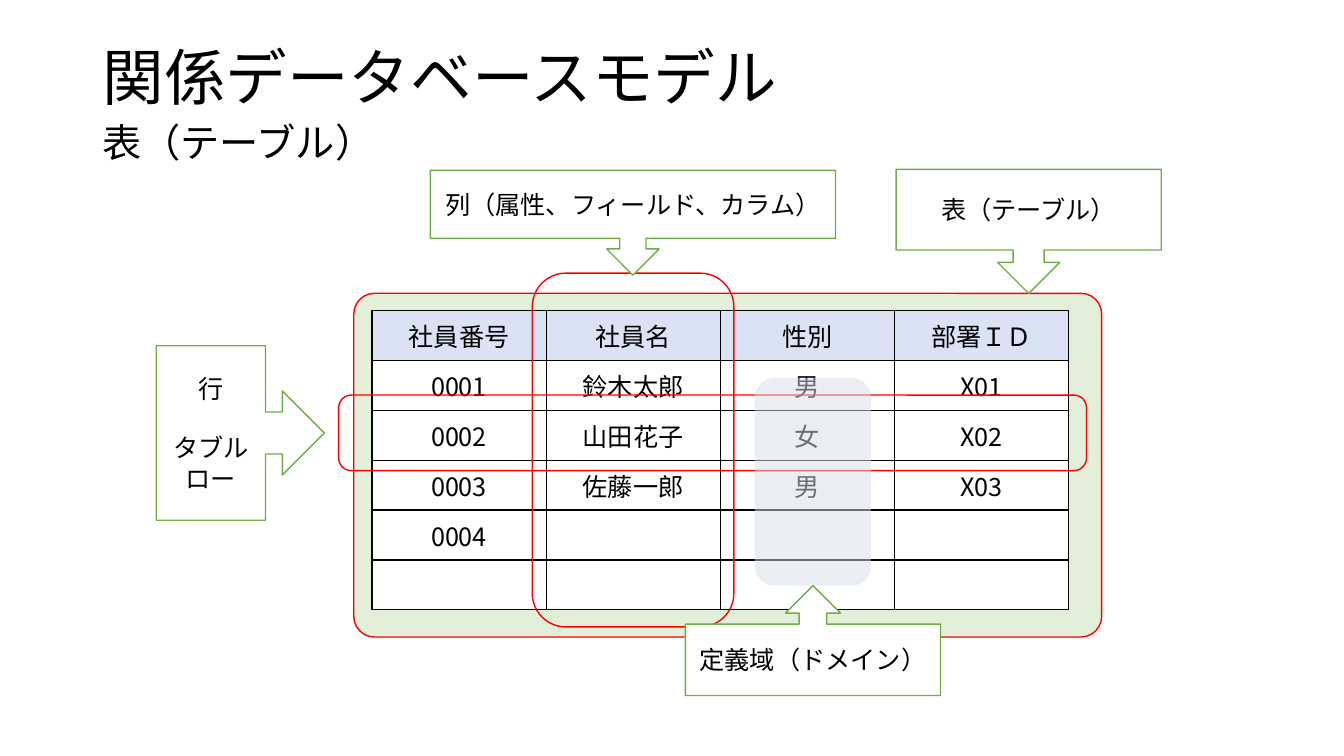
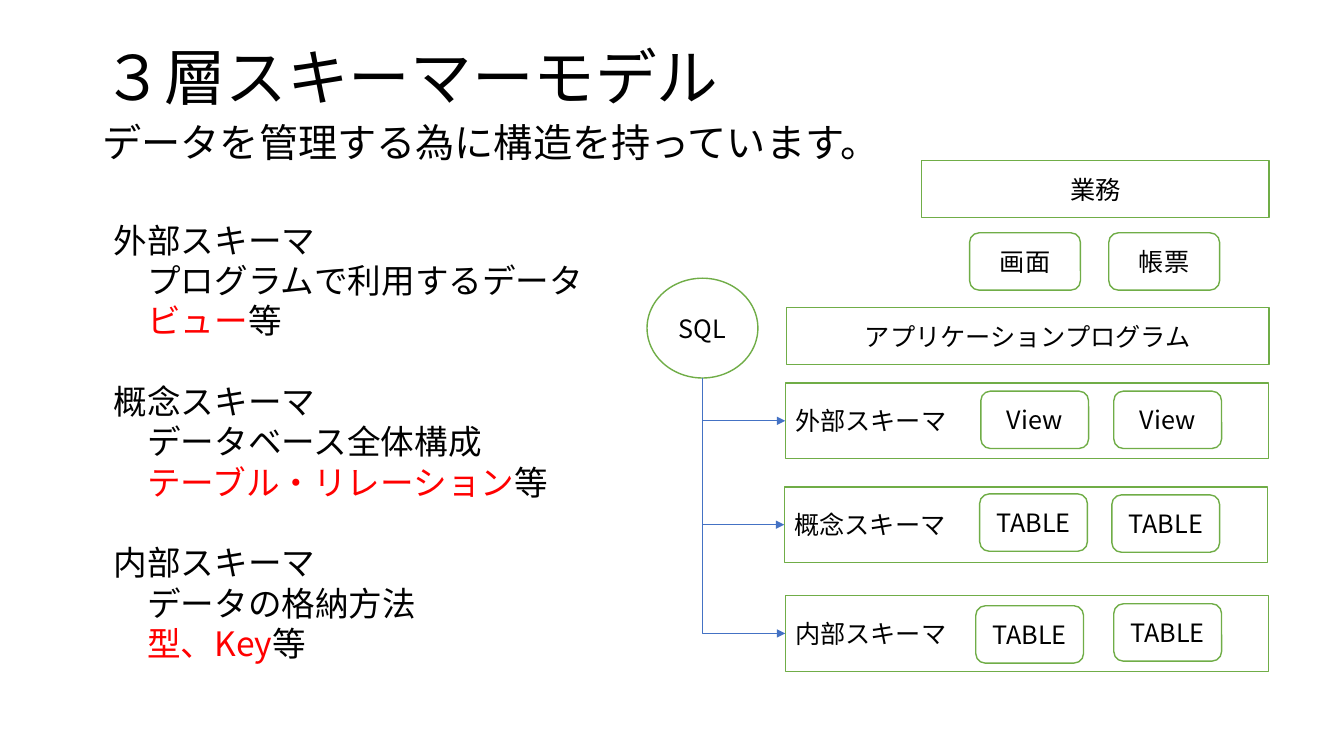
from lxml.etree import SubElement
from pptx import Presentation
from pptx.dml.color import RGBColor
from pptx.enum.shapes import MSO_CONNECTOR, MSO_SHAPE
from pptx.enum.text import MSO_ANCHOR, PP_ALIGN
from pptx.oxml.ns import qn
from pptx.util import Pt

FONT = "Noto Sans CJK JP"
BLACK = RGBColor(0, 0, 0)
WHITE = RGBColor(255, 255, 255)
RED = RGBColor(255, 0, 0)
GREEN = RGBColor(0x70, 0xAD, 0x47)
PALE_GREEN = RGBColor(0xE2, 0xF0, 0xD9)
PALE_BLUE = RGBColor(0xDA, 0xE3, 0xF3)
GREY = RGBColor(0xD6, 0xDC, 0xE5)
BLUE = RGBColor(0x44, 0x72, 0xC4)

EMPLOYEES = [
    ("社員番号", "社員名", "性別", "部署ＩＤ"),
    ("0001", "鈴木太郎", "男", "X01"),
    ("0002", "山田花子", "女", "X02"),
    ("0003", "佐藤一郎", "男", "X03"),
    ("0004", "", "", ""),
    ("", "", "", ""),
]
TABLE_AREA = (252.7, 209.5, 534.2, 245.5)
ROW_AREA = (241.9, 282.2, 534.2, 54)
COLUMN_AREA = (380.2, 195.1, 144, 252.7)
DOMAIN_AREA = (539.3, 270, 82.8, 148.3)
ROW_CALLOUT = (111.6, 247, 120.2, 124.6)
COLUMN_CALLOUT = (307.4, 121.7, 289.4, 74.9)
TABLE_CALLOUT = (640.1, 121, 189.4, 88.6)
DOMAIN_CALLOUT = (489.6, 418.3, 182.2, 78.5)
GRID_LEFT, GRID_TOP, COLUMN_WIDTH, ROW_HEIGHT = 265.7, 221.8, 124.4, 35.64

SCHEMAS = [
    ("外部スキーマ", "プログラムで利用するデータ", "ビュー", "等"),
    ("概念スキーマ", "データベース全体構成", "テーブル・リレーション", "等"),
    ("内部スキーマ", "データの格納方法", "型、Key", "等"),
]
LAYERS = [
    (560.9, 273.6, "View", [(700.6, 279.4), (795.6, 279.4)]),
    (560.2, 347.8, "TABLE", [(699.8, 352.8), (794.2, 353.5)]),
    (560.9, 425.5, "TABLE", [(697, 432.7), (795.6, 431.3)]),
]
LAYER_WIDTH, LAYER_HEIGHT = 345, 54
PART_WIDTH, PART_HEIGHT = 77, 41
SCREENS = [("画面", 692.6), ("帳票", 792)]
SCREEN_TOP, SCREEN_WIDTH = 166.3, 79.2
BUSINESS = (658.1, 114.5, 248.4, PART_HEIGHT)
PROGRAM = (561.6, 219.6, LAYER_WIDTH, PART_HEIGHT)
SQL = (462.2, 198.7, 79.2, 71.3)
SCHEMA_TEXT = (74.2, 153.4, 427.7, 326.9)
LINE_PITCH = 28.8


def points(lengths):
    return [Pt(length) for length in lengths]


def style(para, size, align=None):
    para.font.size = Pt(size)
    para.font.color.rgb = BLACK
    para.font.name = FONT
    defaults = para._p.pPr.find(qn("a:defRPr"))
    SubElement(defaults, qn("a:ea")).set("typeface", FONT)
    if align is not None:
        para.alignment = align


def add_text(page, area, text, size):
    box = page.shapes.add_textbox(*points(area))
    box.text_frame.word_wrap = True
    para = box.text_frame.paragraphs[0]
    para.text = text
    style(para, size)
    para.line_spacing = 0.9
    return box


def add_page(deck, title, subtitle):
    page = deck.slides.add_slide(deck.slide_layouts[6])
    heading = add_text(page, (66.2, 28.8, 828, 56.9), title, 44)
    heading.text_frame.vertical_anchor = MSO_ANCHOR.MIDDLE
    add_text(page, (66.2, 85, 828, 41), subtitle, 28)
    return page


def add_box(page, kind, area, text="", fill=WHITE, line=GREEN, align=PP_ALIGN.CENTER):
    box = page.shapes.add_shape(kind, *points(area))
    box.shadow.inherit = False
    if fill is None:
        box.fill.background()
    else:
        box.fill.solid()
        box.fill.fore_color.rgb = fill
    if line is None:
        box.line.fill.background()
    else:
        box.line.color.rgb = line
        box.line.width = Pt(1)
    if text:
        box.text_frame.text = text
        box.text_frame.vertical_anchor = MSO_ANCHOR.MIDDLE
        for para in box.text_frame.paragraphs:
            style(para, 18, align)
    return box


def add_border(cell):
    properties = cell._tc.get_or_add_tcPr()
    for index, side in enumerate(("a:lnL", "a:lnR", "a:lnT", "a:lnB")):
        border = properties.makeelement(qn(side), {"w": str(Pt(1))})
        fill = SubElement(border, qn("a:solidFill"))
        SubElement(fill, qn("a:srgbClr")).set("val", str(BLACK))
        properties.insert(index, border)


def add_employees(page):
    rows, columns = len(EMPLOYEES), len(EMPLOYEES[0])
    area = (GRID_LEFT, GRID_TOP, COLUMN_WIDTH * columns, ROW_HEIGHT * rows)
    table = page.shapes.add_table(rows, columns, *points(area)).table
    for row, values in enumerate(EMPLOYEES):
        for column, value in enumerate(values):
            cell = table.cell(row, column)
            cell.text = value
            cell.vertical_anchor = MSO_ANCHOR.MIDDLE
            cell.fill.solid()
            cell.fill.fore_color.rgb = WHITE if row else PALE_BLUE
            para = cell.text_frame.paragraphs[0]
            style(para, 18, PP_ALIGN.CENTER)
            para.font.bold = False
            add_border(cell)


def add_bent_arrow(page, start_x, start_y, end_x, end_y):
    across, down = end_x - start_x, end_y - start_y
    left = (start_x + end_x - down) / 2
    top = (start_y + end_y - across) / 2
    corners = (left, top, left + down, top + across)
    arrow = page.shapes.add_connector(MSO_CONNECTOR.ELBOW, *points(corners))
    arrow.line.color.rgb = BLUE
    arrow.line.width = Pt(0.5)
    properties = arrow._element.spPr
    frame = properties.find(qn("a:xfrm"))
    frame.set("rot", "16200000")
    frame.set("flipH", "1")
    properties.find(qn("a:prstGeom")).set("prst", "bentConnector2")
    SubElement(properties.find(qn("a:ln")), qn("a:tailEnd")).set("type", "triangle")
    SubElement(properties, qn("a:effectLst"))


def add_schema_text(page):
    frame = page.shapes.add_textbox(*points(SCHEMA_TEXT)).text_frame
    frame.word_wrap = True
    for index, (name, purpose, example, ending) in enumerate(SCHEMAS):
        lines = [(name,), (purpose,), (example, ending)]
        for level, parts in enumerate(lines):
            first = index == level == 0
            para = frame.paragraphs[0] if first else frame.add_paragraph()
            style(para, 24)
            for part in parts:
                span = para.add_run()
                span.text = part
                if part == example:
                    span.font.color.rgb = RED
            if level:
                para._p.pPr.set("marL", str(Pt(24)))
            elif index:
                para.space_before = Pt(LINE_PITCH)


def build_relational(deck):
    page = add_page(deck, "関係データベースモデル", "表（テーブル）")
    table_area = add_box(page, MSO_SHAPE.ROUNDED_RECTANGLE, TABLE_AREA, fill=PALE_GREEN, line=RED)
    table_area.adjustments[0] = 0.06
    add_employees(page)
    add_box(page, MSO_SHAPE.ROUNDED_RECTANGLE, ROW_AREA, fill=None, line=RED)
    row_callout = add_box(page, MSO_SHAPE.RIGHT_ARROW_CALLOUT, ROW_CALLOUT, "行\nタブル\nロー")
    row_callout.text_frame.paragraphs[1].space_before = Pt(21)
    add_box(page, MSO_SHAPE.ROUNDED_RECTANGLE, COLUMN_AREA, fill=None, line=RED)
    add_box(page, MSO_SHAPE.DOWN_ARROW_CALLOUT, COLUMN_CALLOUT, "列（属性、フィールド、カラム）")
    add_box(page, MSO_SHAPE.DOWN_ARROW_CALLOUT, TABLE_CALLOUT, "表（テーブル）")
    domain = add_box(page, MSO_SHAPE.ROUNDED_RECTANGLE, DOMAIN_AREA, fill=GREY, line=None)
    colour = domain._element.spPr.find(qn("a:solidFill")).find(qn("a:srgbClr"))
    SubElement(colour, qn("a:alpha")).set("val", "50000")
    add_box(page, MSO_SHAPE.UP_ARROW_CALLOUT, DOMAIN_CALLOUT, "定義域（ドメイン）")


def build_schema(deck):
    page = add_page(deck, "３層スキーマーモデル", "データを管理する為に構造を持っています。")
    add_schema_text(page)
    add_box(page, MSO_SHAPE.RECTANGLE, BUSINESS, "業務")
    for name, left in SCREENS:
        area = (left, SCREEN_TOP, SCREEN_WIDTH, PART_HEIGHT)
        add_box(page, MSO_SHAPE.ROUNDED_RECTANGLE, area, name)
    add_box(page, MSO_SHAPE.RECTANGLE, PROGRAM, "アプリケーションプログラム")
    add_box(page, MSO_SHAPE.OVAL, SQL, "SQL")
    sql_left, sql_top, sql_width, sql_height = SQL
    for (name, *_), (left, top, part, places) in zip(SCHEMAS, LAYERS):
        area = (left, top, LAYER_WIDTH, LAYER_HEIGHT)
        add_box(page, MSO_SHAPE.RECTANGLE, area, name, align=PP_ALIGN.LEFT)
        for place in places:
            area = (*place, PART_WIDTH, PART_HEIGHT)
            add_box(page, MSO_SHAPE.ROUNDED_RECTANGLE, area, part)
        add_bent_arrow(page, sql_left + sql_width / 2, sql_top + sql_height,
                       left, top + LAYER_HEIGHT / 2)


deck = Presentation()
deck.slide_width, deck.slide_height = Pt(960), Pt(540)
build_relational(deck)
build_schema(deck)
deck.save("out.pptx")
